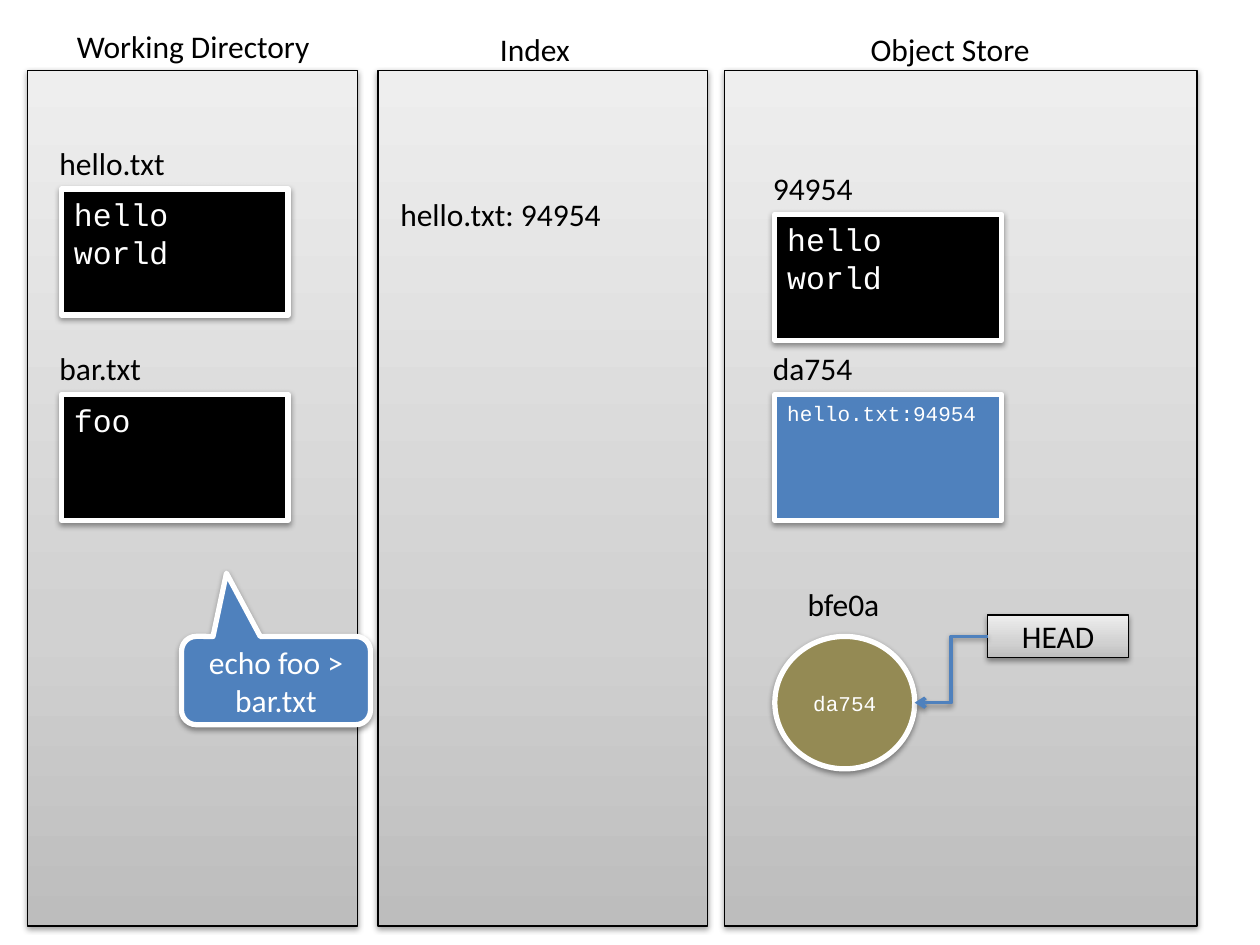
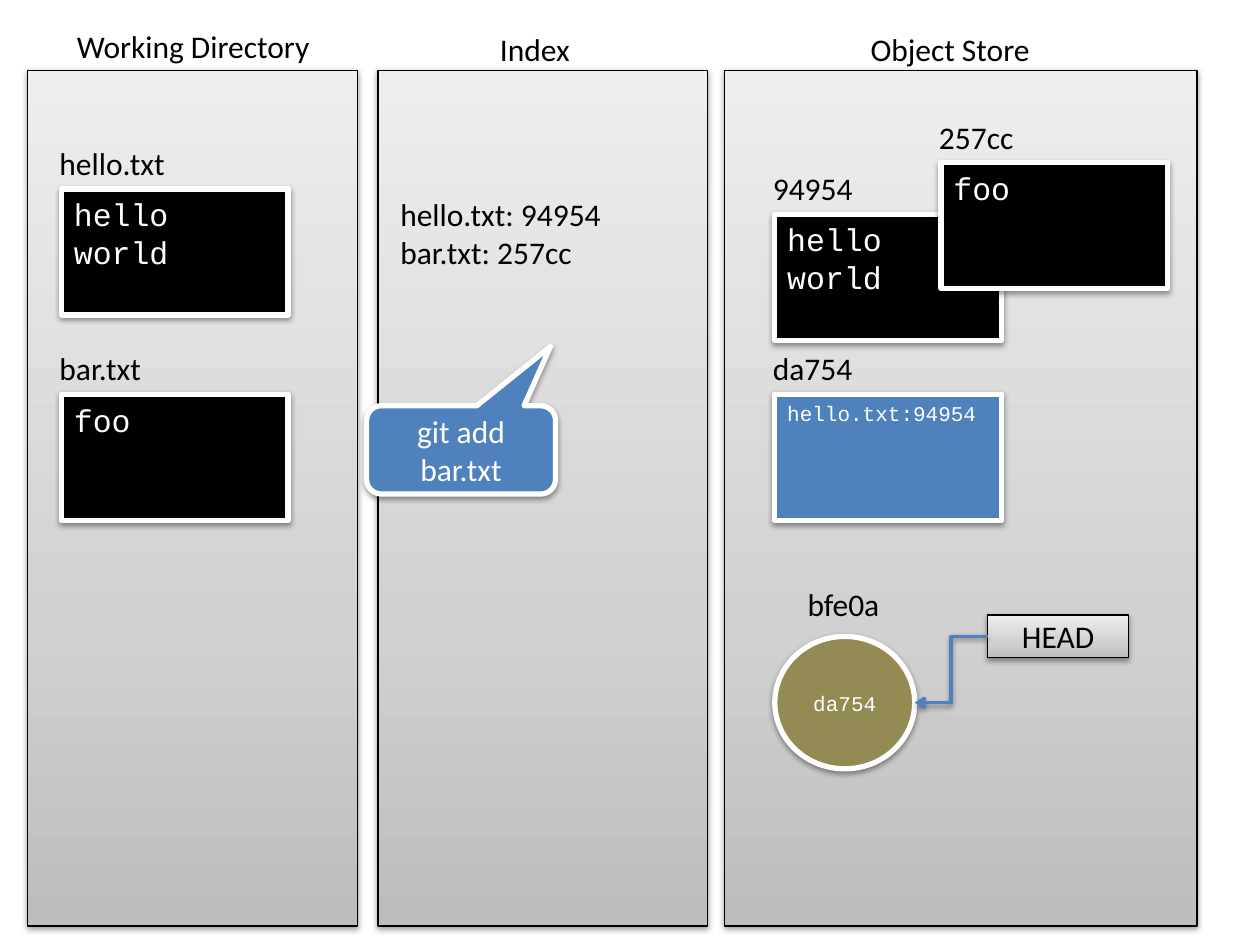
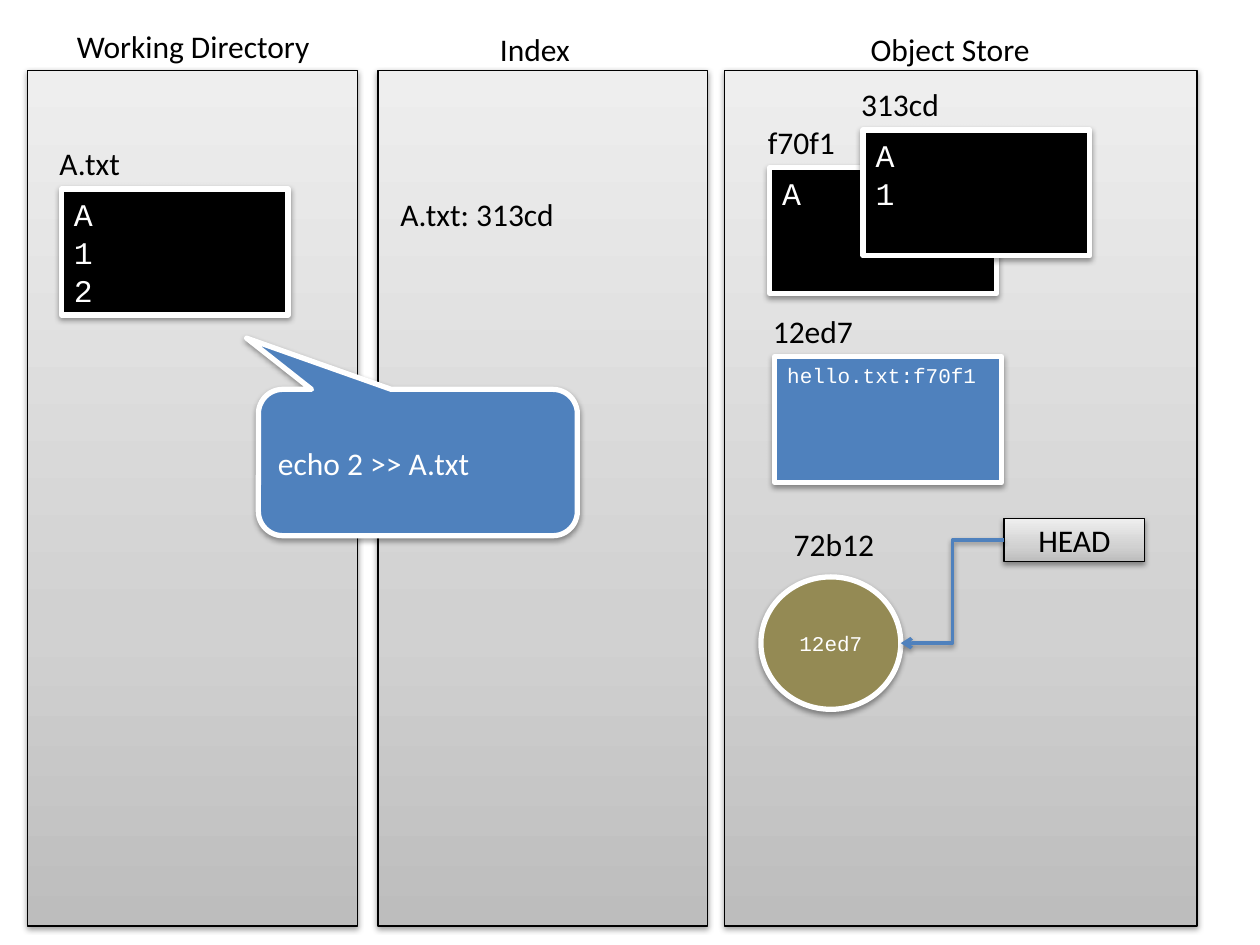
"""Build three slides that follow files through the working directory, index and object store."""
import pptx
import pptx.dml.color
import pptx.enum.shapes
import pptx.enum.text
import pptx.oxml
import pptx.oxml.ns
import pptx.util

Cm, Pt = pptx.util.Cm, pptx.util.Pt
RGBColor = pptx.dml.color.RGBColor
SHAPE = pptx.enum.shapes.MSO_SHAPE
ALIGN = pptx.enum.text.PP_ALIGN
ANCHOR = pptx.enum.text.MSO_ANCHOR
FIT = pptx.enum.text.MSO_AUTO_SIZE.SHAPE_TO_FIT_TEXT

BLACK = RGBColor(0x00, 0x00, 0x00)
WHITE = RGBColor(0xFF, 0xFF, 0xFF)
BLUE = RGBColor(0x4F, 0x81, 0xBD)
OLIVE = RGBColor(0x94, 0x8A, 0x54)
GREYS = [(0, RGBColor(0xBD, 0xBD, 0xBD)), (35, RGBColor(0xD1, 0xD1, 0xD1)),
         (100, RGBColor(0xEE, 0xEE, 0xEE))]

BODY = {"name": "Calibri", "size": Pt(18)}
CODE = {"name": "Courier New", "size": Pt(18)}
HASH = {"name": "Courier New", "size": Pt(12)}
LABEL_FRAME = {"word_wrap": False, "auto_size": FIT, "vertical_anchor": ANCHOR.TOP}
LIST_FRAME = {**LABEL_FRAME, "word_wrap": True}
TOP_FRAME = {"word_wrap": True, "vertical_anchor": ANCHOR.TOP}
MIDDLE_FRAME = {"word_wrap": True, "vertical_anchor": ANCHOR.MIDDLE}

NS = pptx.oxml.ns.nsdecls("a")
SHADOW = (f'<a:effectLst {NS}><a:outerShdw blurRad="40000" dist="20000" dir="5400000" '
          'rotWithShape="0"><a:srgbClr val="000000"><a:alpha val="38000"/></a:srgbClr>'
          '</a:outerShdw></a:effectLst>')
STOPS = "".join(f'<a:gs pos="{pos * 1000}"><a:srgbClr val="{rgb}"/></a:gs>' for pos, rgb in GREYS)
GRADIENT = (f'<a:gradFill {NS} rotWithShape="1"><a:gsLst>{STOPS}</a:gsLst>'
            '<a:lin ang="16200000" scaled="0"/></a:gradFill>')
ARROW = f'<a:tailEnd {NS} type="arrow"/>'


def write(sp, text, font, color, frame, align=ALIGN.LEFT):
    """Fill a shape with one paragraph per line of text."""
    tf = sp.text_frame
    for key, value in frame.items():
        setattr(tf, key, value)
    for i, line in enumerate(text.split("\n")):
        p = tf.add_paragraph() if i else tf.paragraphs[0]
        p.alignment = align
        r = p.add_run()
        r.text = line
        r.font.color.rgb = color
        for key, value in font.items():
            setattr(r.font, key, value)


def block(shapes, kind, at, fill=None):
    """Add a shadowed shape: grey gradient with a thin edge, or solid with a white edge."""
    sp = shapes.add_shape(kind, *map(Cm, at))
    if fill is None:
        sp.element.spPr.append(pptx.oxml.parse_xml(GRADIENT))
    else:
        sp.fill.solid()
        sp.fill.fore_color.rgb = fill
    sp.line.color.rgb = BLACK if fill is None else WHITE
    sp.line.width = Pt(0.75 if fill is None else 3)
    sp.element.spPr.append(pptx.oxml.parse_xml(SHADOW))
    return sp


PANEL_TOP, PANEL_H = 1.42, 17.25
PANELS = [
    (0.56, 6.65, "Working Directory", (1.3, 0.43, 5.28, 1.8)),
    (7.62, 6.65, "Index", (9.83, 0.48, 1.96, 1.02)),
    (14.6, 9.53, "Object Store", (17.3, 0.48, 3.76, 1.02)),
]
FILE_W, FILE_H, LABEL_H = 4.57, 2.54, 1.02
COMMIT_W, COMMIT_H = 2.82, 2.67
HEAD_W, HEAD_H = 2.84, 0.86
WORK_X, STORE_X = 1.24, 15.62
ROW_1, ROW_2 = 3.81, 7.95

HELLO = ("hello.txt", 2.69, "hello\nworld", WORK_X, ROW_1, BLACK, CODE)
BAR = ("bar.txt", 2.26, "foo", WORK_X, ROW_2, BLACK, CODE)
HELLO_BLOB = ("94954", 2.13, "hello\nworld", STORE_X, 4.32, BLACK, CODE)
BAR_BLOB = ("257cc", 2.03, "foo", 18.97, 3.28, BLACK, CODE)
HELLO_TREE = ("da754", 2.13, "hello.txt:94954", STORE_X, ROW_2, BLUE, HASH)
HELLO_COMMIT = ("bfe0a", 2.01, "da754", STORE_X, 12.83)

SLIDES = [
    {"files": [HELLO, BAR, HELLO_BLOB, HELLO_TREE],
     "index": "hello.txt: 94954",
     "callout": ("echo foo > bar.txt", (3.66, 12.83, 3.81, 1.78), (-0.262, -1.216), ALIGN.CENTER),
     "commit": HELLO_COMMIT, "head": (19.91, 12.4)},
    {"files": [HELLO, BAR, HELLO_BLOB, HELLO_TREE, BAR_BLOB],
     "index": "hello.txt: 94954\nbar.txt: 257cc",
     "callout": ("git add bar.txt", (7.39, 8.18, 3.81, 1.78), (0.473, -1.17), ALIGN.CENTER),
     "commit": HELLO_COMMIT, "head": (19.91, 12.4)},
    {"files": [("A.txt", 1.75, "A\n1\n2", WORK_X, ROW_1, BLACK, CODE),
               ("f70f1", 1.88, "A", 15.52, 3.38, BLACK, CODE),
               ("313cd", 2.11, "A\n1", 17.4, 2.62, BLACK, CODE),
               ("12ed7", 2.13, "hello.txt:f70f1", STORE_X, 7.19, BLUE, HASH)],
     "index": "A.txt: 313cd",
     "callout": ("echo 2 >> A.txt", (5.21, 7.85, 6.43, 2.95), (-0.537, -0.85), ALIGN.LEFT),
     "commit": ("72b12", 2.16, "12ed7", 15.34, 11.63), "head": (20.24, 10.46)},
]

prs = pptx.Presentation()
prs.slide_width, prs.slide_height = Cm(25.4), Cm(19.05)
layout = prs.slide_layouts[6]

for number, content in enumerate(SLIDES):
    s = prs.slides.add_slide(layout)

    if number == 0:
        for x, w, title, title_at in PANELS:
            panel = block(s.shapes, SHAPE.RECTANGLE, (x, PANEL_TOP, w, PANEL_H))
            heading = s.shapes.add_textbox(*map(Cm, title_at))
            write(heading, title, BODY, BLACK, LABEL_FRAME)
            for sp in (panel, heading):
                layout.shapes.element.append(sp.element)

    for name, name_w, text, x, y, fill, font in content["files"]:
        group = s.shapes.add_group_shape()
        sp = block(group.shapes, SHAPE.RECTANGLE, (x, y, FILE_W, FILE_H), fill)
        write(sp, text, font, WHITE, TOP_FRAME)
        sp = group.shapes.add_textbox(Cm(x - 0.29), Cm(y - 1.03), Cm(name_w), Cm(LABEL_H))
        write(sp, name, BODY, BLACK, LABEL_FRAME)

    lines = content["index"].count("\n") + 1
    sp = s.shapes.add_textbox(Cm(7.82), Cm(ROW_1), Cm(6.05), Cm(0.24 + 0.78 * lines))
    write(sp, content["index"], BODY, BLACK, LIST_FRAME)

    command, at, tip, align = content["callout"]
    sp = block(s.shapes, SHAPE.ROUNDED_RECTANGULAR_CALLOUT, at, BLUE)
    sp.adjustments[0], sp.adjustments[1] = tip
    write(sp, command, BODY, WHITE, MIDDLE_FRAME, align)

    name, name_w, tree, x, y = content["commit"]
    group = s.shapes.add_group_shape()
    sp = block(group.shapes, SHAPE.OVAL, (x, y, COMMIT_W, COMMIT_H), OLIVE)
    write(sp, tree, HASH, WHITE, MIDDLE_FRAME, ALIGN.CENTER)
    sp = group.shapes.add_textbox(Cm(x + 0.41), Cm(y - 1.17), Cm(name_w), Cm(LABEL_H))
    write(sp, name, BODY, BLACK, LABEL_FRAME)

    head_x, head_y = content["head"]
    sp = block(s.shapes, SHAPE.RECTANGLE, (head_x, head_y, HEAD_W, HEAD_H))
    write(sp, "HEAD", BODY, BLACK, MIDDLE_FRAME, ALIGN.CENTER)

    link = s.shapes.add_connector(
        pptx.enum.shapes.MSO_CONNECTOR.ELBOW, Cm(head_x), Cm(head_y + HEAD_H / 2),
        Cm(x + COMMIT_W), Cm(y + COMMIT_H / 2))
    link.line.color.rgb = BLUE
    link.line.width = Pt(2)
    link.line._get_or_add_ln().append(pptx.oxml.parse_xml(ARROW))
    link.element.spPr.append(pptx.oxml.parse_xml(SHADOW))

prs.save("out.pptx")
